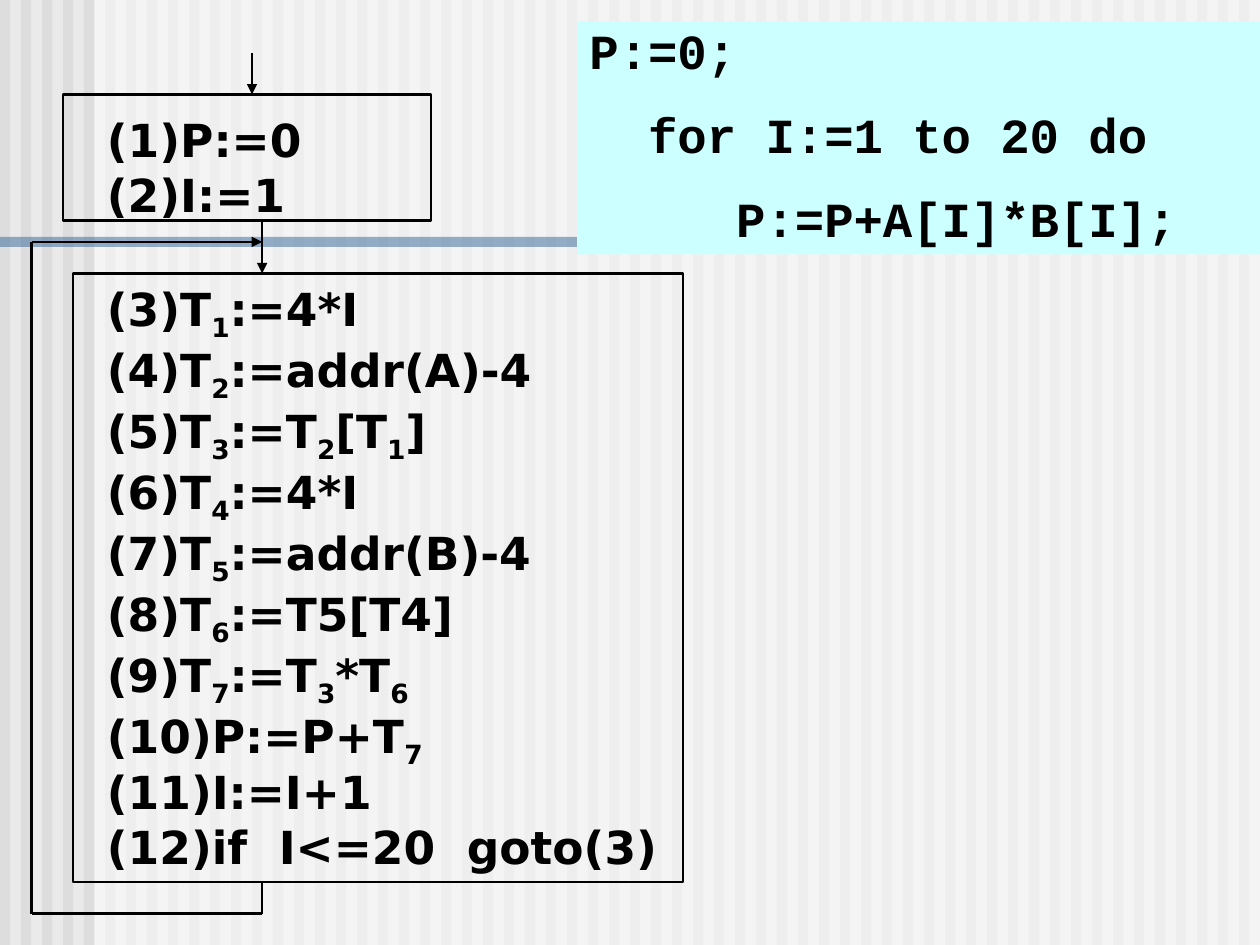
from dataclasses import dataclass

import pptx
import pptx.enum.shapes
import pptx.enum.text
import pptx.oxml.ns
import pptx.oxml.xmlchemy
import pptx.util
from pptx.dml.color import RGBColor
from pptx.util import Inches

BACKGROUND = RGBColor(0xEA, 0xEA, 0xEA)
STRIPE = RGBColor(0xDD, 0xDD, 0xDD)
WHITE = RGBColor(0xFF, 0xFF, 0xFF)
BAND = RGBColor(0x33, 0x66, 0x99)
CODE_PANEL = RGBColor(0xCC, 0xFF, 0xFF)
BLACK = RGBColor(0x00, 0x00, 0x00)
LINE_WIDTH = pptx.util.Pt(1.5)


@dataclass(frozen=True)
class Area:
    left: float
    top: float
    width: float
    height: float


@dataclass(frozen=True)
class Flow:
    start: tuple[float, float]
    end: tuple[float, float]
    arrow: bool = False


@dataclass(frozen=True)
class TextStyle:
    font: str
    size: float
    line_spacing: float
    space_before: float
    hanging: float = 0


# Underscores enclose subscripts
INITIAL_BLOCK = ["(1)P:=0", "(2)I:=1"]
LOOP_BLOCK = [
    "(3)T_1_:=4*I",
    "(4)T_2_:=addr(A)-4",
    "(5)T_3_:=T_2_[T_1_]",
    "(6)T_4_:=4*I",
    "(7)T_5_:=addr(B)-4",
    "(8)T_6_:=T5[T4]",
    "(9)T_7_:=T_3_*T_6_",
    "(10)P:=P+T_7_",
    "(11)I:=I+1",
    "(12)if  I<=20  goto(3)",
]
SOURCE_CODE = ["P:=0;", "  for I:=1 to 20 do", "     P:=P+A[I]*B[I];"]

STATEMENT_STYLE = TextStyle("DejaVu Sans", 26, 0.8, 6.5, hanging=0.38)
CODE_STYLE = TextStyle("Courier New", 28, 0.9, 17.5)
BLOCK_GAP = 37.5

BLOCK_FRAMES = [Area(0.5, 0.75, 2.92, 1), Area(0.58, 2.17, 4.84, 4.83)]
FLOWS = [
    Flow((2, 0.42), (2, 0.75), arrow=True),
    Flow((2.08, 1.75), (2.08, 2.17), arrow=True),
    # Loop back from the end of the second block
    Flow((2.08, 7), (2.08, 7.25)),
    Flow((2.08, 7.25), (0.25, 7.25)),
    Flow((0.25, 7.25), (0.25, 1.92)),
    Flow((0.25, 1.92), (2.08, 1.92), arrow=True),
]


def add_rectangle(page, area: Area, fill: RGBColor | None, opacity: int = 100):
    shape = page.shapes.add_shape(
        pptx.enum.shapes.MSO_SHAPE.RECTANGLE,
        Inches(area.left), Inches(area.top), Inches(area.width), Inches(area.height),
    )
    shape.shadow.inherit = False
    if fill is None:
        shape.fill.background()
        shape.line.color.rgb = BLACK
        shape.line.width = LINE_WIDTH
        return shape
    shape.fill.solid()
    shape.fill.fore_color.rgb = fill
    shape.line.fill.background()
    if opacity < 100:
        color = shape._element.spPr.find(".//" + pptx.oxml.ns.qn("a:srgbClr"))
        alpha = pptx.oxml.xmlchemy.OxmlElement("a:alpha")
        alpha.set("val", str(opacity * 1000))
        color.append(alpha)
    return shape


def add_flow(page, flow: Flow) -> None:
    line = page.shapes.add_connector(
        pptx.enum.shapes.MSO_CONNECTOR.STRAIGHT,
        *(Inches(value) for value in flow.start + flow.end),
    )
    line.line.color.rgb = BLACK
    line.line.width = LINE_WIDTH
    properties = line._element.spPr
    if flow.arrow:
        tail = pptx.oxml.xmlchemy.OxmlElement("a:tailEnd")
        tail.set("type", "triangle")
        properties.find(pptx.oxml.ns.qn("a:ln")).append(tail)
    properties.append(pptx.oxml.xmlchemy.OxmlElement("a:effectLst"))


def write_lines(box, lines: list[str], style: TextStyle) -> None:
    frame = box.text_frame
    frame.word_wrap = True
    frame.vertical_anchor = pptx.enum.text.MSO_ANCHOR.TOP
    for index, line in enumerate(lines):
        para = frame.paragraphs[0] if index == 0 else frame.add_paragraph()
        para.alignment = pptx.enum.text.PP_ALIGN.LEFT
        para.line_spacing = style.line_spacing
        para.space_before = pptx.util.Pt(style.space_before if index else 0)
        if style.hanging:
            properties = para._p.get_or_add_pPr()
            properties.set("marL", str(Inches(style.hanging)))
            properties.set("indent", str(-Inches(style.hanging)))
        for position, piece in enumerate(line.split("_")):
            if not piece:
                continue
            span = para.add_run()
            span.text = piece
            span.font.name = style.font
            span.font.size = pptx.util.Pt(style.size)
            span.font.bold = True
            span.font.color.rgb = BLACK
            if position % 2:
                span._r.get_or_add_rPr().set("baseline", "-25000")


def main() -> None:
    deck = pptx.Presentation()
    deck.slide_width, deck.slide_height = Inches(10), Inches(7.5)
    page = deck.slides.add_slide(deck.slide_layouts[6])

    # Striped background, veil and band
    page.background.fill.solid()
    page.background.fill.fore_color.rgb = BACKGROUND
    for index in range(60):
        add_rectangle(page, Area(index / 6, 0, 0.08, 7.5), STRIPE)
    add_rectangle(page, Area(0.75, 0, 9.25, 7.5), WHITE, opacity=50)
    add_rectangle(page, Area(0, 1.88, 7.6, 0.08), BAND, opacity=50)

    # Statements of both basic blocks
    statements = page.shapes.add_textbox(Inches(0.75), Inches(0.92), Inches(9), Inches(6.17))
    write_lines(statements, INITIAL_BLOCK + LOOP_BLOCK, STATEMENT_STYLE)
    loop_start = statements.text_frame.paragraphs[len(INITIAL_BLOCK)]
    loop_start.space_before = pptx.util.Pt(BLOCK_GAP)

    # Flow graph
    for frame in BLOCK_FRAMES:
        add_rectangle(page, frame, None)
    for flow in FLOWS:
        add_flow(page, flow)

    # Source program
    panel = add_rectangle(page, Area(4.58, 0.17, 5.42, 1.85), CODE_PANEL)
    write_lines(panel, SOURCE_CODE, CODE_STYLE)
    panel.text_frame.auto_size = pptx.enum.text.MSO_AUTO_SIZE.SHAPE_TO_FIT_TEXT

    deck.save("out.pptx")


if __name__ == "__main__":
    main()
